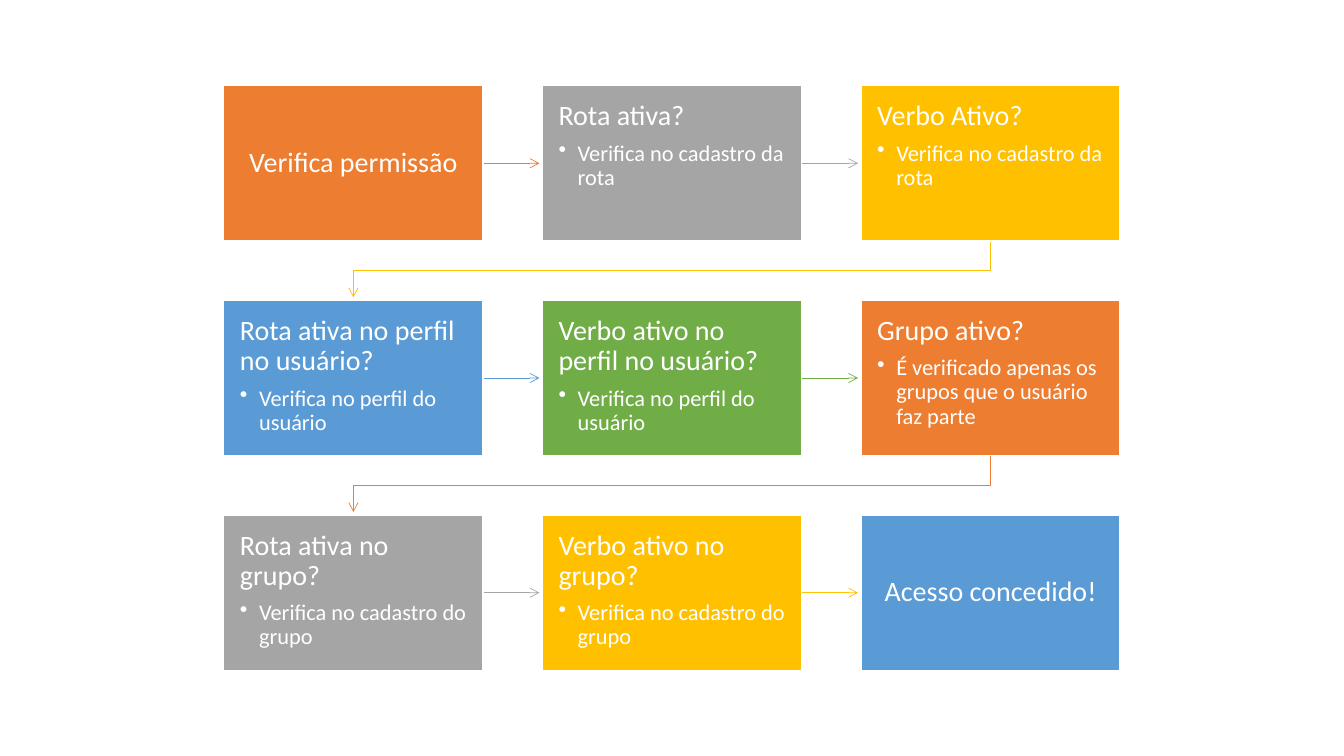
from dataclasses import dataclass
from lxml import etree
from pptx import Presentation
from pptx.dml.color import RGBColor
from pptx.enum import shapes, text
from pptx.oxml import ns
from pptx.util import Inches, Pt


@dataclass(frozen=True)
class Theme:
    font: str = "Calibri"
    title_size: int = 20
    detail_size: int = 16
    white: str = "FFFFFF"
    orange: str = "ED7D31"
    gray: str = "A5A5A5"
    gold: str = "FFC000"
    blue: str = "5B9BD5"
    green: str = "70AD47"


theme = Theme()


def style_arrow(arrow, color):
    arrow.line.color.rgb = RGBColor.from_string(color)
    arrow.line.width = Pt(0.5)
    line = arrow.line._get_or_add_ln()
    etree.SubElement(line, ns.qn("a:tailEnd"), type="arrow")


def style_paragraph(paragraph, size, space_after):
    paragraph.line_spacing = 0.9
    paragraph.space_after = Pt(space_after)
    paragraph.font.name = theme.font
    paragraph.font.size = Pt(size)
    paragraph.font.color.rgb = RGBColor.from_string(theme.white)


steps = [
    ("Verifica permissão", None, theme.orange),
    ("Rota ativa?", "Verifica no cadastro da rota", theme.gray),
    ("Verbo Ativo?", "Verifica no cadastro da rota", theme.gold),
    ("Rota ativa no perfil no usuário?", "Verifica no perfil do usuário", theme.blue),
    ("Verbo ativo no perfil no usuário?", "Verifica no perfil do usuário", theme.green),
    ("Grupo ativo?", "É verificado apenas os grupos que o usuário faz parte", theme.orange),
    ("Rota ativa no grupo?", "Verifica no cadastro do grupo", theme.gray),
    ("Verbo ativo no grupo?", "Verifica no cadastro do grupo", theme.gold),
    ("Acesso concedido!", None, theme.blue),
]

columns = 3
left, top = Inches(2.22), Inches(0.85)
width, height = Inches(2.57), Inches(1.54)
column_pitch, row_pitch = Inches(3.16), Inches(2.13)
arrow_gap = Inches(0.03)
margin = Inches(0.16)
bullet_indent = Inches(0.19)

presentation = Presentation()
presentation.slide_width = Inches(13.33)
presentation.slide_height = Inches(7.5)
slide = presentation.slides.add_slide(presentation.slide_layouts[6])

for index, (title, detail, color) in enumerate(steps):
    row, column = divmod(index, columns)
    x = left + column * column_pitch
    y = top + row * row_pitch

    if column < columns - 1:
        middle = y + height // 2
        arrow = slide.shapes.add_connector(
            shapes.MSO_CONNECTOR.STRAIGHT,
            x + width, middle, x + column_pitch - arrow_gap, middle,
        )
        etree.SubElement(arrow._element.spPr, ns.qn("a:effectLst"))
        style_arrow(arrow, color)
    elif index < len(steps) - 1:
        start_x, end_x = x + width // 2, left + width // 2
        bottom, next_top = y + height, y + row_pitch
        turn = (bottom + next_top) // 2
        builder = slide.shapes.build_freeform(start_x, bottom)
        builder.add_line_segments(
            [(start_x, turn), (end_x, turn), (end_x, next_top - arrow_gap)], close=False
        )
        arrow = builder.convert_to_shape()
        arrow.shadow.inherit = False
        arrow.fill.background()
        style_arrow(arrow, color)

    box = slide.shapes.add_shape(shapes.MSO_SHAPE.RECTANGLE, x, y, width, height)
    box.shadow.inherit = False
    box.fill.solid()
    box.fill.fore_color.rgb = RGBColor.from_string(color)
    box.line.color.rgb = RGBColor.from_string(theme.white)
    box.line.width = Pt(1)

    frame = box.text_frame
    frame.word_wrap = True
    frame.margin_left = frame.margin_right = margin
    frame.margin_top = frame.margin_bottom = margin
    frame.vertical_anchor = text.MSO_ANCHOR.TOP if detail else text.MSO_ANCHOR.MIDDLE

    heading = frame.paragraphs[0]
    heading.text = title
    heading.alignment = text.PP_ALIGN.LEFT if detail else text.PP_ALIGN.CENTER
    style_paragraph(heading, theme.title_size, 7)

    if detail:
        item = frame.add_paragraph()
        item.text = detail
        item.level = 1
        item.alignment = text.PP_ALIGN.LEFT
        properties = item._p.get_or_add_pPr()
        properties.set("marL", str(bullet_indent))
        properties.set("indent", str(-bullet_indent))
        etree.SubElement(properties, ns.qn("a:buChar"), char="•")
        style_paragraph(item, theme.detail_size, 2.4)

presentation.save("out.pptx")
